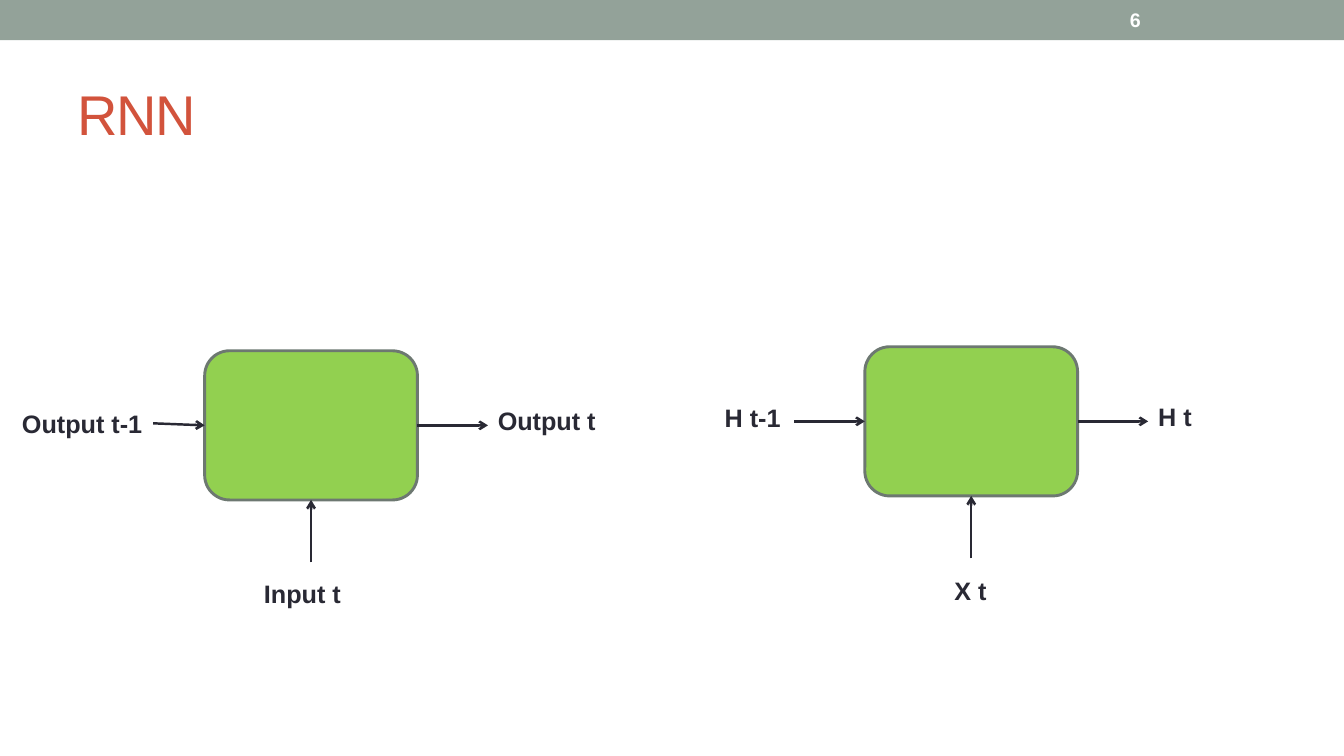
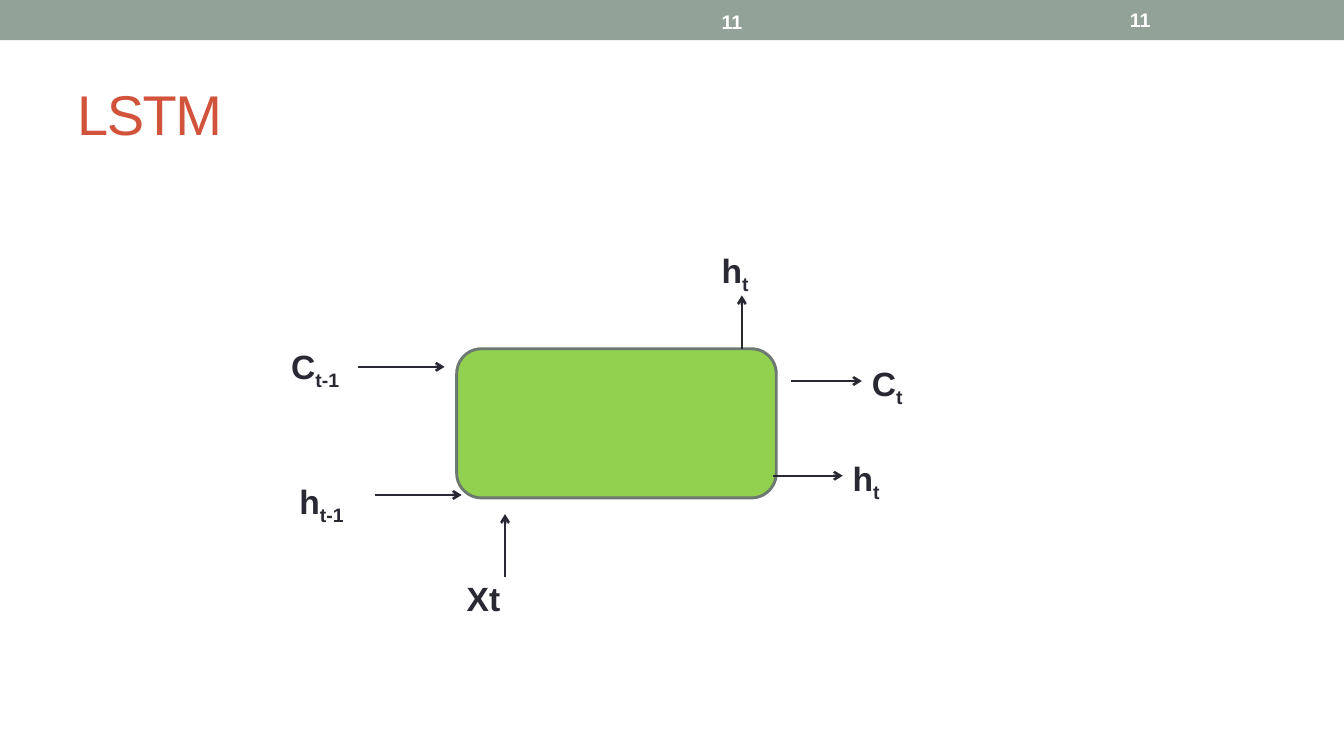
from dataclasses import dataclass
from itertools import cycle

from lxml import etree
from pptx import Presentation, util as u
from pptx.dml import color
from pptx.enum import shapes, text
from pptx.oxml import ns


@dataclass(frozen=True)
class Theme:
    font: str = "Arial"
    band: str = "93A299"
    title: str = "D2533C"
    number: str = "FFFFFF"
    ink: str = "292934"
    cell: str = "92D050"
    border: str = "6D7871"
    title_size: int = 40
    number_size: int = 14
    rnn_size: int = 18
    lstm_size: int = 24
    arrow_width: float = 1.75
    border_width: float = 2.08


theme = Theme()
presentation = Presentation()
presentation.slide_width = u.Inches(13.33)
presentation.slide_height = u.Inches(7.5)

# Grid: 100 columns by 100 rows
column = presentation.slide_width / 100
row = presentation.slide_height / 100


def place(*shares):
    """Turn alternating column and row counts into lengths."""
    return [u.Emu(round(share * unit)) for share, unit in zip(shares, cycle((column, row)))]


def add_text(slide, area, runs, size, ink, bold=True, middle=False, spacing=0):
    """Add one line of text; a run is its wording and its baseline shift."""
    frame = slide.shapes.add_textbox(*place(*area)).text_frame
    frame.word_wrap = middle
    frame.auto_size = text.MSO_AUTO_SIZE.NONE if middle else text.MSO_AUTO_SIZE.SHAPE_TO_FIT_TEXT
    frame.vertical_anchor = text.MSO_ANCHOR.MIDDLE if middle else text.MSO_ANCHOR.TOP
    paragraph = frame.paragraphs[0]
    for wording, baseline in runs:
        run = paragraph.add_run()
        run.text = wording
        run.font.name = theme.font
        run.font.size = u.Pt(size)
        run.font.bold = bold
        run.font.color.rgb = color.RGBColor.from_string(ink)
        properties = run._r.get_or_add_rPr()
        if baseline:
            properties.set("baseline", str(baseline * 1000))
        if spacing:
            properties.set("spc", str(spacing * 100))


# Both RNN cells have an arrow in, an arrow out and an arrow from below
cell_height = 19.73
reach, rise = 5.25, 8.27
rnn_cells = [(15.23, 46.4, 15.83, cell_height), (64.35, 45.87, 15.83, cell_height)]
rnn_arrows = []
for cell, (lead, tilt) in enumerate([(3.83, 0.27), (reach, 0)]):
    left, top, width, height = rnn_cells[cell]
    center, middle = left + width / 2, top + height / 2
    right, bottom = left + width, top + height
    rnn_arrows += [
        ((left - lead, middle - tilt), (left, middle), ("end", cell, 1)),
        ((right, middle), (right + reach, middle), ("begin", cell, 3)),
        ((center, bottom + rise), (center, bottom), ("end", cell, 2)),
    ]

# Content: a label is its left, top, width, base wording and subscript
number_area = (83.33, 0.27, 11.7, 4.8)
slides = [
    {
        "title": "RNN",
        "number": "6",
        "number_areas": [number_area],
        "cells": rnn_cells,
        "arrows": rnn_arrows,
        "size": theme.rnn_size,
        "labels": [
            (0.9, 53.33, 10.58, "Output t-1", ""),
            (18.9, 75.87, 7.28, "Input t", ""),
            (36.3, 52.93, 8.85, "Output t", ""),
            (53.18, 52.53, 5.7, "H t-1", ""),
            (70.28, 75.47, 3.9, "X t", ""),
            (85.43, 52.4, 4.05, "H t", ""),
        ],
    },
    {
        "title": "LSTM",
        "number": "11",
        "number_areas": [number_area, (52.95, 0.53, 11.7, 4.8)],
        "cells": [(33.98, 46.13, 23.78, cell_height)],
        "arrows": [
            ((26.63, 48.53), (33.08, 48.53), None),
            ((58.88, 50.4), (64.13, 50.4), None),
            ((55.2, 46.13), (55.2, 39.07), None),
            ((27.9, 65.47), (34.35, 65.47), None),
            ((57.53, 62.93), (62.7, 62.93), None),
            ((37.58, 76.27), (37.58, 68), None),
        ],
        "size": theme.lstm_size,
        "labels": [
            (20.93, 45.07, 5.4, "C", "t-1"),
            (33.98, 75.73, 4.05, "Xt", ""),
            (64.13, 47.33, 3.9, "C", "t"),
            (21.53, 62.93, 5.1, "h", "t-1"),
            (62.7, 59.87, 3.6, "h", "t"),
            (52.95, 32.4, 3.6, "h", "t"),
        ],
    },
]

for content in slides:
    slide = presentation.slides.add_slide(presentation.slide_layouts[6])

    # Band, title and slide number
    band = slide.shapes.add_shape(shapes.MSO_SHAPE.RECTANGLE, *place(0, 0, 100, 5.33))
    band.shadow.inherit = False
    band.fill.solid()
    band.fill.fore_color.rgb = color.RGBColor.from_string(theme.band)
    band.line.fill.background()
    add_text(slide, (5, 7.73, 90, 14.4), [(content["title"], 0)], theme.title_size,
             theme.title, bold=False, middle=True, spacing=-1)
    for area in content["number_areas"]:
        add_text(slide, area, [(content["number"], 0)], theme.number_size,
                 theme.number, middle=True)

    # Cells
    cells = []
    for area in content["cells"]:
        shape = slide.shapes.add_shape(shapes.MSO_SHAPE.ROUNDED_RECTANGLE, *place(*area))
        shape.shadow.inherit = False
        shape.fill.solid()
        shape.fill.fore_color.rgb = color.RGBColor.from_string(theme.cell)
        shape.line.color.rgb = color.RGBColor.from_string(theme.border)
        shape.line.width = u.Pt(theme.border_width)
        cells.append(shape)

    # Arrows
    for start, end, joint in content["arrows"]:
        arrow = slide.shapes.add_connector(shapes.MSO_CONNECTOR.STRAIGHT, *place(*start, *end))
        if joint:
            tip, cell, side = joint
            connect = arrow.begin_connect if tip == "begin" else arrow.end_connect
            connect(cells[cell], side)
        arrow.line.color.rgb = color.RGBColor.from_string(theme.ink)
        arrow.line.width = u.Pt(theme.arrow_width)
        etree.SubElement(arrow.line._get_or_add_ln(), ns.qn("a:tailEnd"), type="arrow")
        etree.SubElement(arrow._element.spPr, ns.qn("a:effectLst"))

    # Labels
    label_height = content["size"] * 0.28 + 0.2
    for left, top, width, base, subscript in content["labels"]:
        runs = [(base, 0)] + ([(subscript, -25)] if subscript else [])
        add_text(slide, (left, top, width, label_height), runs, content["size"], theme.ink)

presentation.save("out.pptx")
